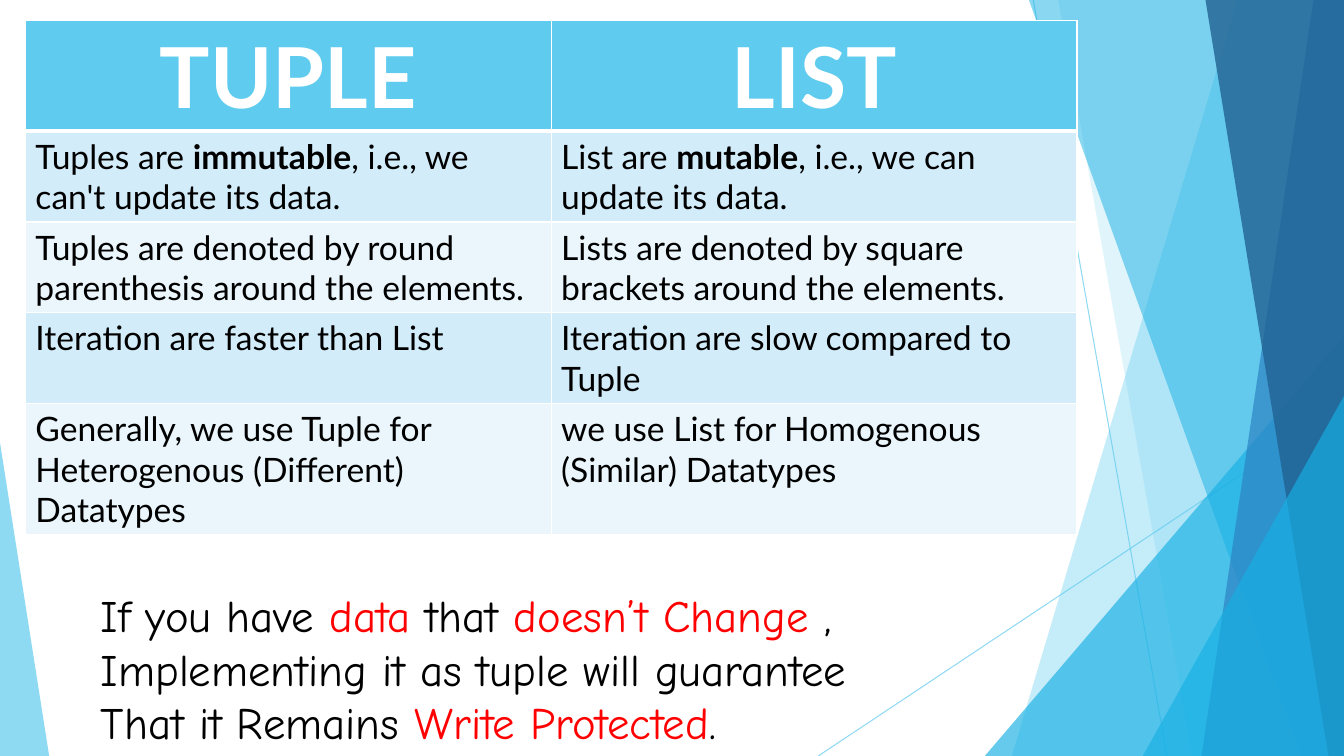
from lxml import etree
from pptx import Presentation
from pptx.dml.color import RGBColor
from pptx.enum.dml import MSO_FILL
from pptx.enum.shapes import MSO_CONNECTOR, MSO_SHAPE
from pptx.enum.text import MSO_AUTO_SIZE, PP_ALIGN
from pptx.oxml import parse_xml
from pptx.oxml.ns import nsdecls, qn
from pptx.util import Cm, Pt

SOLID = MSO_FILL.SOLID
STRAIGHT = MSO_CONNECTOR.STRAIGHT
TRIANGLE = MSO_SHAPE.ISOSCELES_TRIANGLE
GROW = MSO_AUTO_SIZE.SHAPE_TO_FIT_TEXT
CENTER, LEFT = PP_ALIGN.CENTER, PP_ALIGN.LEFT

theme = {
    "sky": "5FCBEF", "cyan": "17B0E4", "blue": "2E83C3", "navy": "226292",
    "band": ["EAF6FC", "D2ECF9"], "white": "FFFFFF", "black": "000000", "red": "FF0000",
    "font": "Lato", "hand": "Comic Neue", "head": 60, "body": 24, "note": 32,
}
WIDE, HIGH = 33.87, 19.05

deck = Presentation()
deck.slide_width, deck.slide_height = Cm(WIDE), Cm(HIGH)
slide = deck.slides.add_slide(deck.slide_layouts[6])
shapes = slide.shapes


def tint(fill, color, alpha):
    if fill.type != SOLID:
        fill.solid()
    fill.fore_color.rgb = RGBColor.from_string(color)
    for node in fill._xPr.iter(qn("a:srgbClr")):
        etree.SubElement(node, qn("a:alpha")).set("val", str(alpha * 1000))


def write(para, parts, font, size, color, mark, bold=False, stress=False):
    for i, part in enumerate(parts):
        run = para.add_run()
        run.text = part
        run.font.name, run.font.size = font, Pt(size)
        run.font.bold = stress if i % 2 else bold
        run.font.color.rgb = RGBColor.from_string(mark if i % 2 else color)


for x1, y1, x2, y2 in [(26.04, 0, 29.41, HIGH), (WIDE, 10.24, 20.62, HIGH)]:
    ray = shapes.add_connector(STRAIGHT, Cm(x1), Cm(y1), Cm(x2), Cm(y2))
    ray.line.width = Pt(0.75)
    tint(ray.line.fill, theme["sky"], 70)
    etree.SubElement(ray._element.spPr, qn("a:effectLst"))

facets = [
    ("sheet", (31.19, 25.5), "sky", 36),
    ("sheet", (26.67, 30.05), "sky", 20),
    ("wedge", (24.82, 8.46, 9.05, 1), "cyan", 66),
    ("sheet", (25.93, 32.79), "cyan", 50),
    ("sheet", (33.1, 30.28), "blue", 70),
    ("sheet", (30.38, 33.48), "navy", 80),
    ("wedge", (28.8, 9.98, 5.07, 1), "cyan", 66),
    ("wedge", (0, 11.15, 1.24, 0), "sky", 70),
]
for kind, dims, color, alpha in facets:
    if kind == "sheet":
        top, foot = dims
        path = shapes.build_freeform(Cm(top), 0)
        path.add_line_segments([(Cm(WIDE), 0), (Cm(WIDE), Cm(HIGH)), (Cm(foot), Cm(HIGH))])
        facet = path.convert_to_shape()
    else:
        x, y, width, tip = dims
        facet = shapes.add_shape(TRIANGLE, Cm(x), Cm(y), Cm(width), Cm(HIGH - y))
        facet.adjustments[0] = tip
    facet.shadow.inherit = False
    facet.line.fill.background()
    tint(facet.fill, theme[color], alpha)

rows = [
    (2.79, ["TUPLE"], ["LIST"]),
    (2.28, ["Tuples are\u00a0", "immutable", ", i.e., we can't update its data."],
     ["List are\u00a0", "mutable", ", i.e., we can update its data."]),
    (2.28, ["Tuples are denoted by round parenthesis around the elements."],
     ["Lists are denoted by square brackets around the elements."]),
    (2.28, ["Iteration are faster than List"], ["Iteration are slow compared to Tuple"]),
    (3.3, ["Generally, we use Tuple for Heterogenous (Different) Datatypes"],
     ["we use List for Homogenous (Similar) Datatypes"]),
]
total = sum(row[0] for row in rows)
table = shapes.add_table(len(rows), 2, Cm(0.64), Cm(0.51), Cm(26.5), Cm(total)).table
for r, (height, *texts) in enumerate(rows):
    table.rows[r].height = Cm(height)
    head = r == 0
    for c, parts in enumerate(texts):
        cell = table.cell(r, c)
        props = cell._tc.get_or_add_tcPr()
        for side in "LRTB":
            thick = 3 if (r, side) in [(0, "B"), (1, "T")] else 1
            props.append(parse_xml(
                f'<a:ln{side} {nsdecls("a")} w="{Pt(thick)}"><a:solidFill>'
                f'<a:srgbClr val="{theme["white"]}"/></a:solidFill></a:ln{side}>'))
        cell.fill.solid()
        back = theme["sky"] if head else theme["band"][r % 2]
        cell.fill.fore_color.rgb = RGBColor.from_string(back)
        para = cell.text_frame.paragraphs[0]
        para.alignment = CENTER if head else LEFT
        ink = theme["white" if head else "black"]
        size = theme["head" if head else "body"]
        write(para, parts, theme["font"], size, ink, ink, bold=head, stress=True)

notes = [
    ["If you have ", "data", " that ", "doesn’t Change ", ", "],
    ["Implementing it as tuple will guarantee "],
    ["That it Remains ", "Write Protected", "."],
]
frame = shapes.add_textbox(Cm(2.29), Cm(14.68), Cm(21.49), Cm(4.37)).text_frame
frame.word_wrap = False
frame.auto_size = GROW
for i, parts in enumerate(notes):
    para = frame.add_paragraph() if i else frame.paragraphs[0]
    write(para, parts, theme["hand"], theme["note"], theme["black"], theme["red"])

deck.save("out.pptx")
